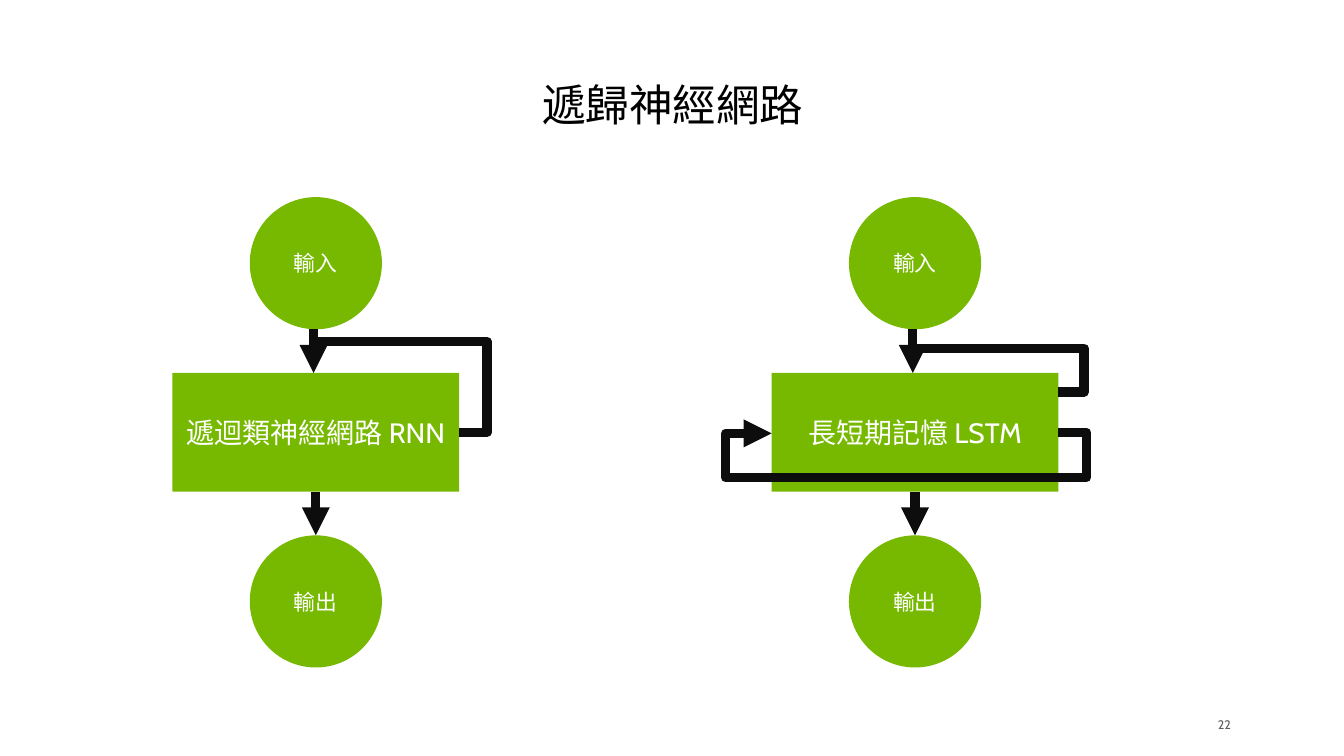
import pptx
import pptx.dml.color
import pptx.enum.shapes
import pptx.enum.text
import pptx.oxml
import pptx.oxml.ns
import pptx.util

GREEN = pptx.dml.color.RGBColor(0x76, 0xB9, 0x00)
INK = pptx.dml.color.RGBColor(0x0D, 0x0D, 0x0D)
BLACK = pptx.dml.color.RGBColor(0, 0, 0)
WHITE = pptx.dml.color.RGBColor(0xFF, 0xFF, 0xFF)
GRAY = pptx.dml.color.RGBColor(0x5E, 0x5E, 0x5E)

COLUMNS, ROWS = 12, 6.75
RECT = pptx.enum.shapes.MSO_SHAPE.RECTANGLE
OVAL = pptx.enum.shapes.MSO_SHAPE.OVAL
STRAIGHT = pptx.enum.shapes.MSO_CONNECTOR.STRAIGHT
ELBOW = pptx.enum.shapes.MSO_CONNECTOR.ELBOW
ALIGN = pptx.enum.text.PP_ALIGN
ANCHOR = pptx.enum.text.MSO_ANCHOR

CELL_W, CELL_H = 2.56, 1.06
CELL_TOP = 3.33
CELL_MID = CELL_TOP + CELL_H / 2
DIAMETER = 1.18
INPUT_TOP, OUTPUT_TOP = 1.76, 4.78


class Diagram:
    font = "Cabin"
    line_width = 6

    def __init__(self, deck):
        self.column = deck.slide_width / COLUMNS
        self.row = deck.slide_height / ROWS
        self.slide = deck.slides.add_slide(deck.slide_layouts[5])

    def scale(self, *lengths):
        units = (self.column, self.row)
        return [round(length * units[i % 2]) for i, length in enumerate(lengths)]

    def label(self, frame, text, size, color, align, anchor):
        frame.word_wrap = True
        frame.vertical_anchor = anchor
        paragraph = frame.paragraphs[0]
        paragraph.alignment = align
        run = paragraph.add_run()
        run.text = text
        run.font.name = self.font
        run.font.size = pptx.util.Pt(size)
        run.font.color.rgb = color
        return paragraph

    def title(self, text, *box):
        heading = self.slide.shapes.title
        heading.left, heading.top, heading.width, heading.height = self.scale(*box)
        paragraph = self.label(heading.text_frame, text, 28, BLACK,
                               ALIGN.CENTER, ANCHOR.BOTTOM)
        paragraph.line_spacing = 0.9

    def page_number(self, text, *box):
        frame = self.slide.shapes.add_textbox(*self.scale(*box)).text_frame
        frame.margin_left = frame.margin_top = frame.margin_bottom = 0
        frame.margin_right = pptx.util.Inches(0.04)
        self.label(frame, text, 8, GRAY, ALIGN.RIGHT, ANCHOR.MIDDLE)

    def node(self, kind, text, size, *box):
        node = self.slide.shapes.add_shape(kind, *self.scale(*box))
        node.shadow.inherit = False
        node.fill.solid()
        node.fill.fore_color.rgb = GREEN
        node.line.fill.background()
        self.label(node.text_frame, text, size, WHITE, ALIGN.CENTER, ANCHOR.MIDDLE)
        return node

    def connector(self, kind, start, end, arrow=True):
        link = self.slide.shapes.add_connector(kind, *self.scale(*start, *end))
        link.line.color.rgb = INK
        link.line.width = pptx.util.Pt(self.line_width)
        properties = link._element.spPr
        outline = properties.find(pptx.oxml.ns.qn("a:ln"))
        self.child(outline, "a:round")
        if arrow:
            self.child(outline, "a:tailEnd", type="triangle")
        self.child(properties, "a:effectLst")
        return link

    def loop(self, start, end, bends, arrow=False):
        link = self.connector(ELBOW, start, end, arrow)
        geometry = link._element.spPr.find(pptx.oxml.ns.qn("a:prstGeom"))
        geometry.set("prst", f"bentConnector{len(bends) + 2}")
        guides = geometry.find(pptx.oxml.ns.qn("a:avLst"))
        if guides is None:
            guides = self.child(geometry, "a:avLst")
        for i, bend in enumerate(bends):
            axis = i % 2
            share = (bend - start[axis]) / (end[axis] - start[axis])
            self.child(guides, "a:gd", name=f"adj{i + 1}",
                       fmla=f"val {round(share * 100000)}")

    def child(self, parent, tag, **attributes):
        element = pptx.oxml.parse_xml(f"<{tag} {pptx.oxml.ns.nsdecls('a')}/>")
        for name, value in attributes.items():
            element.set(name, value)
        parent.append(element)
        return element

    def network(self, left, name):
        center = left + CELL_W / 2
        circle_left = center - DIAMETER / 2
        cell = self.node(RECT, name, 18, left, CELL_TOP, CELL_W, CELL_H)
        self.node(OVAL, "輸入", 14, circle_left, INPUT_TOP, DIAMETER, DIAMETER)
        output = self.node(OVAL, "輸出", 14, circle_left, OUTPUT_TOP, DIAMETER, DIAMETER)
        outflow = self.connector(STRAIGHT, (center, CELL_TOP + CELL_H),
                                 (center, OUTPUT_TOP))
        outflow.begin_connect(cell, 2)
        outflow.end_connect(output, 0)
        inflow = center - 0.02
        self.connector(STRAIGHT, (inflow, INPUT_TOP + DIAMETER), (inflow, CELL_TOP))


def main():
    deck = pptx.Presentation()
    deck.slide_width = pptx.util.Inches(12)
    deck.slide_height = pptx.util.Inches(6.75)
    diagram = Diagram(deck)
    diagram.title("遞歸神經網路", 0.55, 0.57, 10.91, 0.65)
    diagram.page_number("22", 10.68, 6.38, 0.35, 0.18)

    rnn, lstm = 1.54, 6.89
    diagram.network(rnn, "遞迴類神經網路 RNN")
    diagram.loop((rnn + CELL_W, CELL_MID), (rnn + CELL_W / 2, 3.05), [4.35])

    diagram.network(lstm, "長短期記憶 LSTM")
    lstm_right = lstm + CELL_W
    diagram.loop((lstm_right, 3.5), (lstm + CELL_W / 2, 3.11), [9.68])
    diagram.loop((lstm_right, CELL_MID), (lstm, CELL_MID + 0.01),
                 [9.7, 4.27, 6.48], arrow=True)
    deck.save("out.pptx")


if __name__ == "__main__":
    main()
